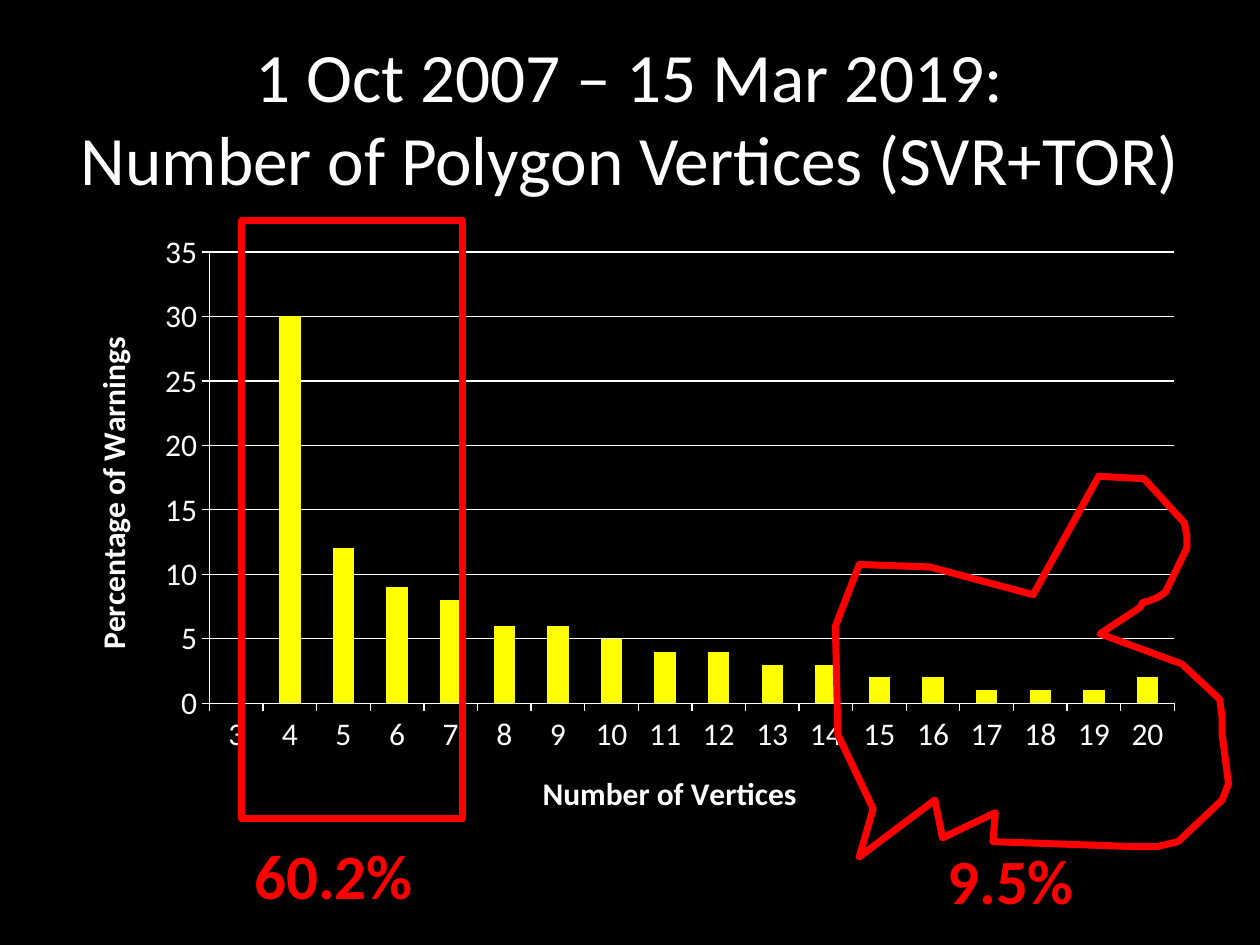
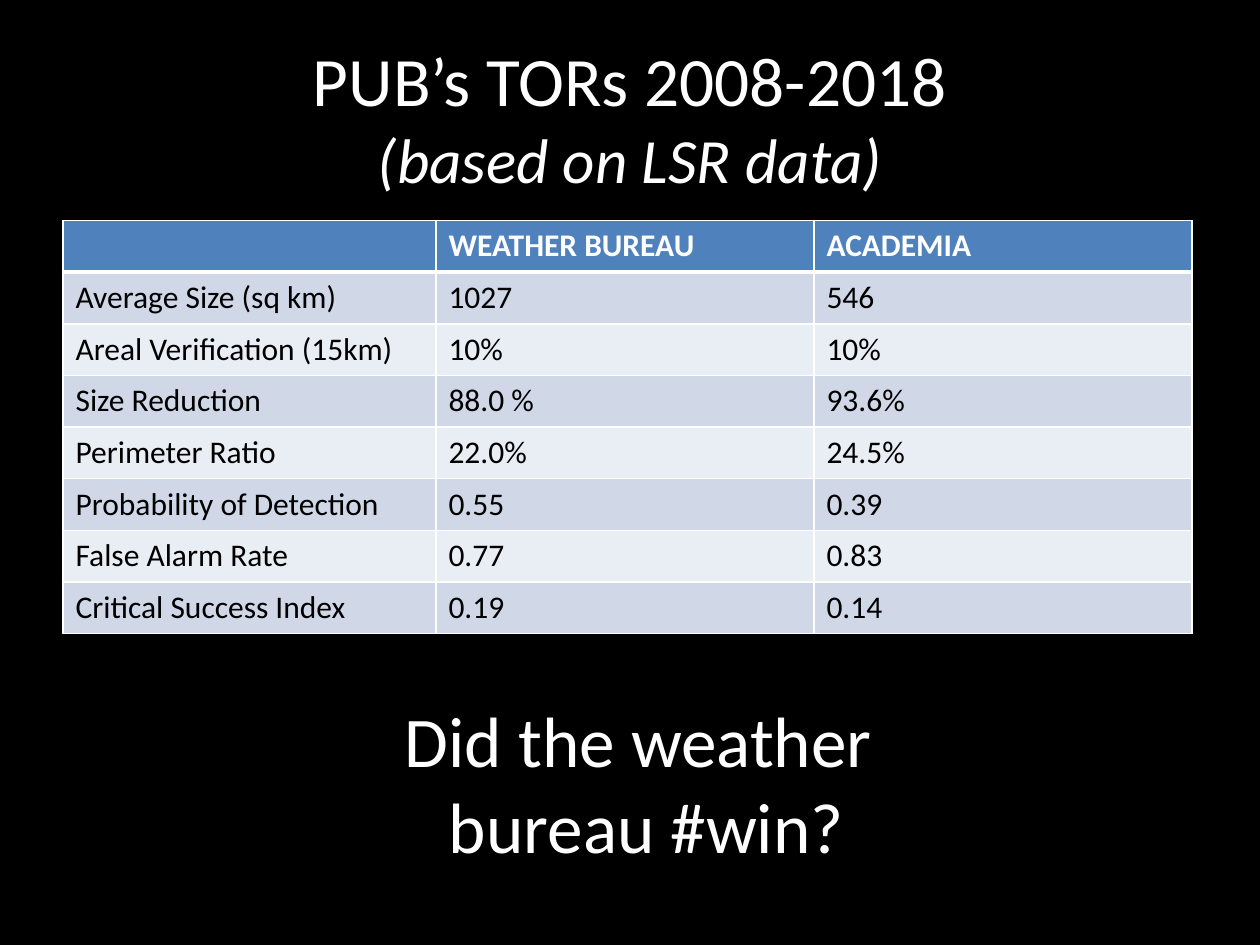
from dataclasses import dataclass

import lxml.etree
import pptx
import pptx.chart.data
import pptx.dml.color
import pptx.enum.chart
import pptx.enum.shapes
import pptx.enum.text
import pptx.oxml.ns
import pptx.util
from pptx.util import Inches

COLORS = {
    "background": "000000",
    "text": "FFFFFF",
    "bar": "FFFF00",
    "highlight": "FF0000",
    "header": "4F81BD",
    "odd_row": "D0D8E8",
    "even_row": "E9EDF4",
    "cell_text": "000000",
}
FONT = "Calibri"
TITLE_SIZE = 39.6
BODY_SIZE = 18
ALIGN = pptx.enum.text.PP_ALIGN
ANCHOR = pptx.enum.text.MSO_ANCHOR

VERTEX_COUNTS = range(3, 21)
WARNING_PERCENTAGES = (0, 30, 12, 9, 8, 6, 6, 5, 4, 4, 3, 3, 2, 2, 1, 1, 1, 2)

MANY_VERTICES_OUTLINE = (
    (6.93, 6.42), (6.65, 5.83), (6.63, 4.97), (6.82, 4.48), (7.38, 4.5),
    (8.2, 4.72), (8.72, 3.78), (9.08, 3.8), (9.4, 4.15), (9.42, 4.25),
    (9.42, 4.35), (9.25, 4.7), (9.19, 4.74), (9.12, 4.77), (9.07, 4.78),
    (9.05, 4.82), (8.73, 5.03), (9.38, 5.27), (9.68, 5.55), (9.7, 5.7),
    (9.7, 5.83), (9.75, 6.22), (9.7, 6.35), (9.35, 6.68), (9.18, 6.72),
    (9.02, 6.72), (7.88, 6.68), (7.9, 6.45), (7.48, 6.65), (7.42, 6.35),
    (6.82, 6.8),
)

TABLE_ROWS = (
    ("", "WEATHER BUREAU", "ACADEMIA"),
    ("Average Size (sq km)", "1027", "546"),
    ("Areal Verification (15km)", "10%", "10%"),
    ("Size Reduction", "88.0 %", "93.6%"),
    ("Perimeter Ratio", "22.0%", "24.5%"),
    ("Probability of Detection", "0.55", "0.39"),
    ("False Alarm Rate", "0.77", "0.83"),
    ("Critical Success Index", "0.19", "0.14"),
)
COLUMN_WIDTHS = (2.96, 3, 3)
ROW_HEIGHT = 0.41


@dataclass(frozen=True)
class Box:
    left: float
    top: float
    width: float
    height: float

    def lengths(self) -> tuple:
        return tuple(Inches(n) for n in (self.left, self.top, self.width, self.height))


@dataclass(frozen=True)
class TextBlock:
    box: Box
    lines: tuple
    size: float = TITLE_SIZE
    color: str = "text"
    bold: bool = False
    align: ALIGN = ALIGN.CENTER
    anchor: ANCHOR = ANCHOR.MIDDLE


def percentage_label(left: float, top: float, text: str) -> TextBlock:
    return TextBlock(Box(left, top, 1.58, 0.71), (text,), 36, "highlight", True,
                     ALIGN.LEFT, ANCHOR.TOP)


def rgb(name: str) -> pptx.dml.color.RGBColor:
    return pptx.dml.color.RGBColor.from_string(COLORS[name])


def style_font(font, size: float, color: str, bold: bool = False) -> None:
    font.name = FONT
    font.size = pptx.util.Pt(size)
    font.bold = bold
    font.color.rgb = rgb(color)


def add_slide(presentation):
    slide = presentation.slides.add_slide(presentation.slide_layouts[6])
    slide.background.fill.solid()
    slide.background.fill.fore_color.rgb = rgb("background")
    return slide


def add_text(slide, block: TextBlock):
    shape = slide.shapes.add_textbox(*block.box.lengths())
    frame = shape.text_frame
    frame.word_wrap = True
    frame.vertical_anchor = block.anchor
    for index, line in enumerate(block.lines):
        paragraph = frame.add_paragraph() if index else frame.paragraphs[0]
        paragraph.text = line
        paragraph.alignment = block.align
        style_font(paragraph.font, block.size, block.color, block.bold)
    return shape


def add_title(slide, left: float, first_line: str, second_line: str):
    """Add a centred two-line title and return its second run."""
    box = Box(left, 0.3, 10 - 2 * left, 1.25)
    paragraph = add_text(slide, TextBlock(box, (first_line,))).text_frame.paragraphs[0]
    paragraph.add_line_break()
    run = paragraph.add_run()
    run.text = second_line
    return run


def style_axis(axis, title: str) -> None:
    axis.has_title = True
    axis.axis_title.text_frame.text = title
    style_font(axis.axis_title.text_frame.paragraphs[0].font, BODY_SIZE, "text", True)
    axis.major_tick_mark = pptx.enum.chart.XL_TICK_MARK.OUTSIDE
    style_font(axis.tick_labels.font, BODY_SIZE, "text")
    axis.format.line.color.rgb = rgb("text")


def add_warning_chart(slide) -> None:
    data = pptx.chart.data.CategoryChartData()
    data.categories = [str(count) for count in VERTEX_COUNTS]
    data.add_series("Series 1", WARNING_PERCENTAGES)
    chart = slide.shapes.add_chart(
        pptx.enum.chart.XL_CHART_TYPE.COLUMN_CLUSTERED,
        *Box(0.5, 1.75, 9, 4.95).lengths(), data).chart
    chart.has_title = False
    chart.has_legend = False
    style_font(chart.font, BODY_SIZE, "text")
    style_axis(chart.category_axis, "Number of Vertices")
    value_axis = chart.value_axis
    style_axis(value_axis, "Percentage of Warnings")
    value_axis.minimum_scale = 0
    value_axis.maximum_scale = 35
    value_axis.major_unit = 5
    value_axis.has_major_gridlines = True
    value_axis.major_gridlines.format.line.color.rgb = rgb("text")
    plot = chart.plots[0]
    plot.gap_width = 150
    plot.vary_by_categories = False
    fill = plot.series[0].format.fill
    fill.solid()
    fill.fore_color.rgb = rgb("bar")


def style_highlight(shape) -> None:
    shape.shadow.inherit = False
    shape.fill.background()
    shape.line.color.rgb = rgb("highlight")
    shape.line.width = pptx.util.Pt(4)


def add_highlight_outline(slide, points: tuple) -> None:
    first, *others = [(Inches(x), Inches(y)) for x, y in points]
    builder = slide.shapes.build_freeform(*first)
    builder.add_line_segments(others, close=True)
    style_highlight(builder.convert_to_shape())


def set_cell_borders(cell, top: float, bottom: float) -> None:
    """Draw white borders; top and bottom are widths in points."""
    properties = cell._tc.get_or_add_tcPr()
    for side, width in (("L", 1), ("R", 1), ("T", top), ("B", bottom)):
        line = lxml.etree.SubElement(properties, pptx.oxml.ns.qn(f"a:ln{side}"),
                                     w=str(pptx.util.Pt(width)))
        fill = lxml.etree.SubElement(line, pptx.oxml.ns.qn("a:solidFill"))
        lxml.etree.SubElement(fill, pptx.oxml.ns.qn("a:srgbClr"), val=COLORS["text"])


def add_verification_table(slide) -> None:
    box = Box(0.5, 1.75, sum(COLUMN_WIDTHS), ROW_HEIGHT * len(TABLE_ROWS))
    table = slide.shapes.add_table(
        len(TABLE_ROWS), len(COLUMN_WIDTHS), *box.lengths()).table
    for column, width in zip(table.columns, COLUMN_WIDTHS):
        column.width = Inches(width)
    for row_index, texts in enumerate(TABLE_ROWS):
        table.rows[row_index].height = Inches(ROW_HEIGHT)
        is_header = row_index == 0
        row_color = "header" if is_header else "odd_row" if row_index % 2 else "even_row"
        for column_index, text in enumerate(texts):
            cell = table.cell(row_index, column_index)
            set_cell_borders(cell, top=3 if row_index == 1 else 1,
                             bottom=3 if is_header else 1)
            cell.fill.solid()
            cell.fill.fore_color.rgb = rgb(row_color)
            cell.text = text
            style_font(cell.text_frame.paragraphs[0].font, BODY_SIZE,
                       "text" if is_header else "cell_text", is_header)


def build_vertices_slide(presentation) -> None:
    slide = add_slide(presentation)
    add_title(slide, 0.25, "1 Oct 2007 – 15 Mar 2019:",
              "Number of Polygon Vertices (SVR+TOR)")
    add_warning_chart(slide)
    style_highlight(slide.shapes.add_shape(
        pptx.enum.shapes.MSO_SHAPE.RECTANGLE, *Box(1.92, 1.75, 1.75, 4.75).lengths()))
    add_text(slide, percentage_label(1.92, 6.59, "60.2%"))
    add_highlight_outline(slide, MANY_VERTICES_OUTLINE)
    add_text(slide, percentage_label(7.42, 6.63, "9.5%"))


def build_verification_slide(presentation) -> None:
    slide = add_slide(presentation)
    subtitle = add_title(slide, 0.5, "PUB’s TORs 2008-2018", "(based on LSR data)")
    subtitle.font.size = pptx.util.Pt(36)
    subtitle.font.italic = True
    add_verification_table(slide)
    add_text(slide, TextBlock(Box(0.63, 5.58, 9, 1.25),
                              ("Did the weather ", "bureau #win?"), 40.7))


def main() -> None:
    presentation = pptx.Presentation()
    presentation.slide_width = Inches(10)
    presentation.slide_height = Inches(7.5)
    build_vertices_slide(presentation)
    build_verification_slide(presentation)
    presentation.save("out.pptx")


if __name__ == "__main__":
    main()
